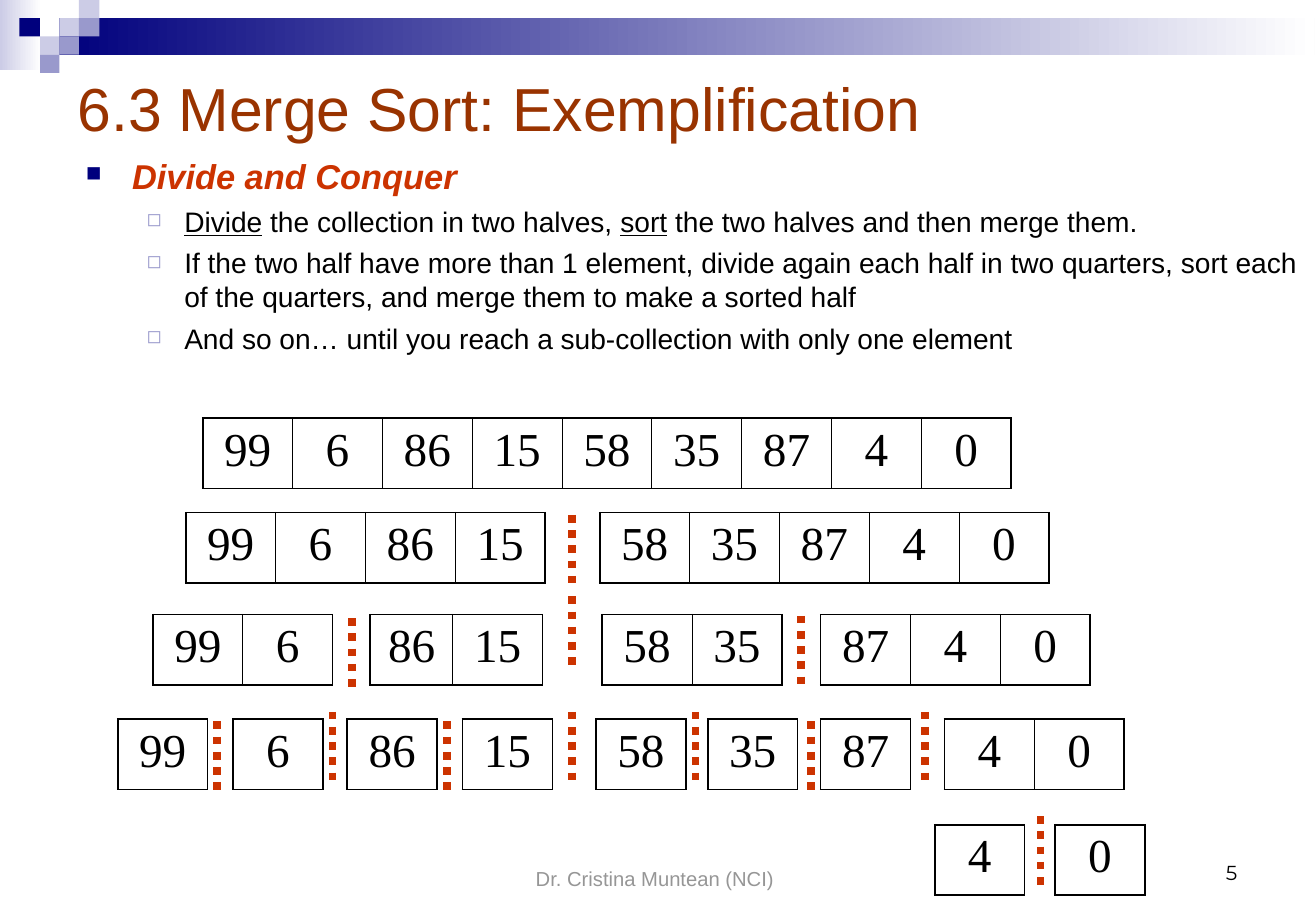
import pptx
import pptx.util
import pptx.dml.color
import pptx.enum.dml
import pptx.enum.shapes
import pptx.enum.text
import pptx.oxml.ns
from lxml import etree

Inches = pptx.util.Inches
Pt = pptx.util.Pt
RGBColor = pptx.dml.color.RGBColor
ALIGN = pptx.enum.text.PP_ALIGN
ANCHOR = pptx.enum.text.MSO_ANCHOR

NAVY = RGBColor(0x00, 0x00, 0x7D)
LILAC = RGBColor(0x99, 0x99, 0xCC)
PALE_LILAC = RGBColor(0xCC, 0xCC, 0xE6)
WHITE = RGBColor(0xFF, 0xFF, 0xFF)
BLACK = RGBColor(0x00, 0x00, 0x00)
GREY = RGBColor(0x96, 0x96, 0x96)
BROWN = RGBColor(0x99, 0x33, 0x00)
RED = RGBColor(0xCC, 0x33, 0x00)

CELL_WIDTH = 0.74
CELL_HEIGHT = 0.58
DIVIDER_HEIGHT = 0.57
MOSAIC_COLUMNS = [0, 0.16, 0.33, 0.49, 0.65, 0.82]
MOSAIC_STEP = 0.15
MOSAIC = [(3, 1, PALE_LILAC), (4, 0, PALE_LILAC), (4, 1, LILAC), (2, 2, PALE_LILAC),
          (1, 1, NAVY), (3, 2, LILAC), (2, 3, LILAC)]

POINTS = [
    [("Divide", True), (" the collection in two halves, ", False), ("sort", True),
     (" the two halves and then merge them.", False)],
    [("If the two half have more than 1 element, divide again each half in two quarters, "
      "sort each of the quarters, and merge them to make a sorted half", False)],
    [("And so on… until you reach a sub-collection with only one element", False)],
]

COLLECTION = [99, 6, 86, 15, 58, 35, 87, 4, 0]
LEVELS = [
    (3.44, [(1.67, 0, 9)]),
    (4.22, [(1.53, 0, 4), (4.94, 4, 9)]),
    (5.06, [(1.26, 0, 2), (3.05, 2, 4), (4.96, 4, 6), (6.76, 6, 9)]),
    (5.92, [(0.97, 0, 1), (1.92, 1, 2), (2.86, 2, 3), (3.81, 3, 4),
            (4.91, 4, 5), (5.83, 5, 6), (6.76, 6, 7), (7.78, 7, 9)]),
    (6.79, [(7.7, 7, 8), (8.69, 8, 9)]),
]
NARROW_FIRST_CELLS = {(5.06, 3.05): 0.68}
DIVIDERS = [
    (4.24, [4.71]), (4.91, [4.71]), (5.09, [2.9]), (5.07, [6.6]),
    (5.94, [1.79, 3.68, 6.68]), (5.86, [2.74, 4.71, 5.73, 7.62]), (6.72, [8.57]),
]


class MergeSortSlide:
    def __init__(self, slide):
        self.slide = slide
        self.shapes = slide.shapes

    def block(self, left, top, width, height, start, end=None):
        block = self.shapes.add_shape(pptx.enum.shapes.MSO_SHAPE.RECTANGLE, Inches(left),
                                      Inches(top), Inches(width), Inches(height))
        block.shadow.inherit = False
        block.line.fill.background()
        if end is None:
            block.fill.solid()
            block.fill.fore_color.rgb = start
        else:
            block.fill.gradient()
            block.fill.gradient_angle = 0
            for stop, color in zip(block.fill.gradient_stops, (start, end)):
                stop.color.rgb = color

    def frame(self, left, top, width, height, anchor=ANCHOR.TOP):
        frame = self.shapes.add_textbox(Inches(left), Inches(top), Inches(width),
                                        Inches(height)).text_frame
        frame.word_wrap = True
        frame.vertical_anchor = anchor
        return frame

    def run(self, paragraph, text, size, color, font="Arial", bold=False, italic=False,
            underline=False):
        run = paragraph.add_run()
        run.text = text
        run.font.size = Pt(size)
        run.font.name = font
        run.font.color.rgb = color
        run.font.bold = bold
        run.font.italic = italic
        run.font.underline = underline

    def bullet(self, paragraph, symbol, color, percent, margin, hanging):
        properties = paragraph._p.get_or_add_pPr()
        properties.set("marL", str(Inches(margin)))
        properties.set("indent", str(-Inches(hanging)))
        qn = pptx.oxml.ns.qn
        tint = etree.SubElement(properties, qn("a:buClr"))
        etree.SubElement(tint, qn("a:srgbClr")).set("val", str(color))
        etree.SubElement(properties, qn("a:buSzPct")).set("val", str(percent * 1000))
        etree.SubElement(properties, qn("a:buChar")).set("char", symbol)

    def border(self, cell, side, width):
        qn = pptx.oxml.ns.qn
        line = etree.SubElement(cell._tc.get_or_add_tcPr(), qn("a:" + side))
        line.set("w", str(Pt(width)))
        fill = etree.SubElement(line, qn("a:solidFill"))
        etree.SubElement(fill, qn("a:srgbClr")).set("val", str(BLACK))

    def array(self, left, top, values):
        widths = [CELL_WIDTH] * len(values)
        widths[0] = NARROW_FIRST_CELLS.get((top, left), CELL_WIDTH)
        table = self.shapes.add_table(1, len(values), Inches(left), Inches(top),
                                      Inches(sum(widths)), Inches(CELL_HEIGHT)).table
        table.first_row = False
        table.horz_banding = False
        last = len(values) - 1
        for index, value in enumerate(values):
            table.columns[index].width = Inches(widths[index])
            cell = table.cell(0, index)
            self.border(cell, "lnL", 1.08 if index == 0 else 0.45)
            self.border(cell, "lnR", 1.08 if index == last else 0.45)
            self.border(cell, "lnT", 1.08)
            self.border(cell, "lnB", 1.08)
            cell.fill.background()
            paragraph = cell.text_frame.paragraphs[0]
            paragraph.alignment = ALIGN.CENTER
            self.run(paragraph, str(value), 28, BLACK, "Times New Roman")

    def divider(self, x, top):
        divider = self.shapes.add_connector(
            pptx.enum.shapes.MSO_CONNECTOR.STRAIGHT, Inches(x), Inches(top),
            Inches(x), Inches(top + DIVIDER_HEIGHT))
        divider.line.color.rgb = RED
        divider.line.width = Pt(4.5)
        divider.line.dash_style = pptx.enum.dml.MSO_LINE.ROUND_DOT
        etree.SubElement(divider._element.spPr, pptx.oxml.ns.qn("a:effectLst"))


def main():
    deck = pptx.Presentation()
    deck.slide_width = Inches(10.84)
    deck.slide_height = Inches(7.5)
    page = MergeSortSlide(deck.slides.add_slide(deck.slide_layouts[6]))

    page.block(0, 0, 0.34, 0.58, PALE_LILAC, WHITE)
    page.block(0.49, 0.15, 10.34, 0.3, NAVY, WHITE)
    for column, row, color in MOSAIC:
        left = MOSAIC_COLUMNS[column]
        page.block(left, row * MOSAIC_STEP, MOSAIC_COLUMNS[column + 1] - left,
                   MOSAIC_STEP, color)

    author = page.frame(3.68, 6.88, 3.43, 0.5, ANCHOR.BOTTOM).paragraphs[0]
    author.alignment = ALIGN.CENTER
    page.run(author, "Dr. Cristina Muntean (NCI)", 12, GREY)
    number = page.frame(7.76, 6.83, 2.53, 0.5, ANCHOR.BOTTOM).paragraphs[0]
    number.alignment = ALIGN.RIGHT
    page.run(number, "5", 12, BLACK, "Montserrat")

    title = page.frame(0.54, 0.58, 9.75, 1.02)
    title.margin_top = 0
    page.run(title.paragraphs[0], "6.3 Merge Sort: Exemplification", 36, BROWN)

    body = page.frame(0.61, 1.23, 10.23, 1.81)
    heading = body.paragraphs[0]
    page.bullet(heading, "■", NAVY, 62, 0.38, 0.38)
    page.run(heading, "Divide and Conquer", 20.4, RED, bold=True, italic=True)
    for pieces in POINTS:
        point = body.add_paragraph()
        point.level = 1
        page.bullet(point, "◻", LILAC, 66, 0.81, 0.31)
        point.space_before = Pt(4.5)
        for text, underline in pieces:
            page.run(point, text, 16.7, BLACK, underline=underline)

    for top, parts in LEVELS:
        for left, first, end in parts:
            page.array(left, top, COLLECTION[first:end])
    for top, positions in DIVIDERS:
        for x in positions:
            page.divider(x, top)

    deck.save("out.pptx")


if __name__ == "__main__":
    main()
